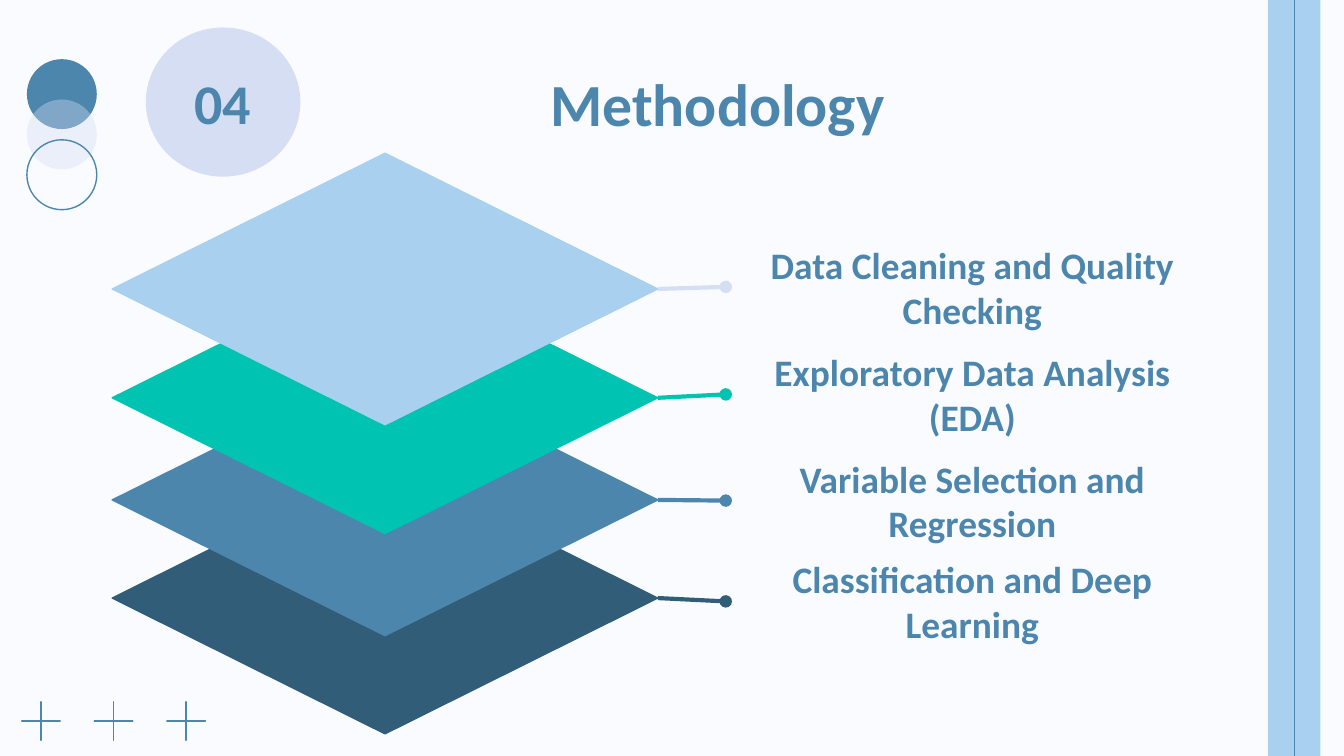
from lxml.etree import SubElement
from pptx import Presentation
from pptx.dml.color import RGBColor
from pptx.enum.shapes import MSO_CONNECTOR, MSO_SHAPE
from pptx.enum.text import MSO_ANCHOR, PP_ALIGN
from pptx.oxml.ns import qn
from pptx.util import Inches, Pt

# Grid cells are a tenth of an inch, on a 16:9 slide
COLS = 100
ROWS = COLS * 9 / 16

PAPER = RGBColor(0xF9, 0xFB, 0xFF)
BLUE = RGBColor(0x4C, 0x86, 0xAC)
SKY = RGBColor(0xA9, 0xD0, 0xEE)
LILAC = RGBColor(0xD5, 0xDE, 0xF3)
TEAL = RGBColor(0x00, 0xC3, 0xB1)
NAVY = RGBColor(0x32, 0x5D, 0x79)

# Top of layer, top of label, layer colour, link colour, label
STEPS = [
    (0, 0, SKY, LILAC, "Data Cleaning and Quality Checking"),
    (8.1, 8, TEAL, TEAL, "Exploratory Data Analysis (EDA)"),
    (15.7, 15.9, BLUE, BLUE, "Variable Selection and Regression"),
    (23, 23.4, NAVY, NAVY, "Classification and Deep Learning"),
]
TILE_W, TILE_H = 40.6, 20.2
LABEL_W, LABEL_H = 36.7, 6.3


def cell(*nums):
    return [Inches(num / 10) for num in nums]


def form(item, style):
    for name, value in style.items():
        setattr(item, name, value)


def draw(slide, kind, box, fill=None, line=None):
    shape = slide.shapes.add_shape(kind, *cell(*box))
    shape.shadow.inherit = False
    if fill is None:
        shape.fill.background()
    else:
        shape.fill.solid()
        shape.fill.fore_color.rgb = fill
    if line is None:
        shape.line.fill.background()
    else:
        shape.line.color.rgb = line
        shape.line.width = Pt(0.75)
    return shape


def link(slide, start, end, color, width, dot=False):
    wire = slide.shapes.add_connector(
        MSO_CONNECTOR.STRAIGHT, *cell(*start, *end))
    wire.line.color.rgb = color
    wire.line.width = Pt(width)
    props = wire.line._get_or_add_ln()
    if dot:
        SubElement(props, qn("a:tailEnd"), type="oval")
    SubElement(props.getparent(), qn("a:effectLst"))


def write(shape, text, size, anchor=MSO_ANCHOR.MIDDLE):
    frame = shape.text_frame
    inset = Inches(0.1)
    form(frame, {
        "word_wrap": True, "vertical_anchor": anchor,
        "margin_left": inset, "margin_right": inset,
        "margin_top": inset, "margin_bottom": inset,
    })
    para = frame.paragraphs[0]
    para.alignment = PP_ALIGN.CENTER
    run = para.add_run()
    run.text = text
    form(run.font, {"name": "Calibri", "size": Pt(size), "bold": True})
    run.font.color.rgb = BLUE


def add_rings(slide, box):
    left, top, size, step = box
    looks = [(BLUE, None), (LILAC, None), (None, BLUE)]
    rings = [
        draw(slide, MSO_SHAPE.OVAL,
             (left, top + row * step, size, size), fill, line)
        for row, (fill, line) in enumerate(looks)
    ]
    # The middle disc lets the upper one show through
    tint = rings[1].fill._xPr.find(qn("a:solidFill"))[0]
    SubElement(tint, qn("a:alpha"), val="38000")


def add_band(slide, box):
    left, top, width, height = box
    draw(slide, MSO_SHAPE.RECTANGLE, box, SKY)
    mid = left + width / 2
    link(slide, (mid, top), (mid, top + height), BLUE, 0.75)


def add_marks(slide, box):
    left, top, size, step = box
    for col in range(3):
        mark = draw(slide, MSO_SHAPE.MATH_PLUS,
                    (left + col * step, top, size, size), line=BLUE)
        mark.adjustments[0] = 0


def add_head(slide, box):
    left, top, width, height = box
    # Title
    title = slide.shapes.add_textbox(
        *cell(left + 12.5, top + 1.9, width - 12.5, 6.3))
    write(title, "Methodology", 32, MSO_ANCHOR.TOP)
    # Section number
    badge = draw(slide, MSO_SHAPE.OVAL, (left, top, 11.4, height),
                 LILAC, LILAC)
    write(badge, "04", 30)


def add_stack(slide, box):
    left, top = box
    # The lowest layer lies at the back
    for drop, _, color, _, _ in reversed(STEPS):
        draw(slide, MSO_SHAPE.DIAMOND,
             (left, top + drop, TILE_W, TILE_H), color, color)


def add_labels(slide, box, tip):
    left, top = box
    edge, mid = tip
    for drop, fall, _, color, text in STEPS:
        label = slide.shapes.add_textbox(
            *cell(left, top + fall, LABEL_W, LABEL_H))
        write(label, text, 20)
        # Link from the layer's right corner to its label
        link(slide, (edge, mid + drop),
             (left, top + fall + LABEL_H / 2), color, 2.25, dot=True)


def main():
    deck = Presentation()
    form(deck, {"slide_width": Inches(COLS / 10),
                "slide_height": Inches(ROWS / 10)})
    slide = deck.slides.add_slide(deck.slide_layouts[6])
    slide.background.fill.solid()
    slide.background.fill.fore_color.rgb = PAPER

    # Decoration
    add_rings(slide, (2, 4.4, 5.2, 3))
    add_band(slide, (94.35, 0, 3.9, ROWS))
    add_marks(slide, (1.1, 51.7, 3.9, 5.4))

    # Content
    left, top = 8.35, 11.4
    add_head(slide, (10.9, 2.1, 72.5, 11))
    add_stack(slide, (left, top))
    add_labels(slide, (54, 18.2), (left + TILE_W, top + TILE_H / 2))
    deck.save("out.pptx")


if __name__ == "__main__":
    main()
